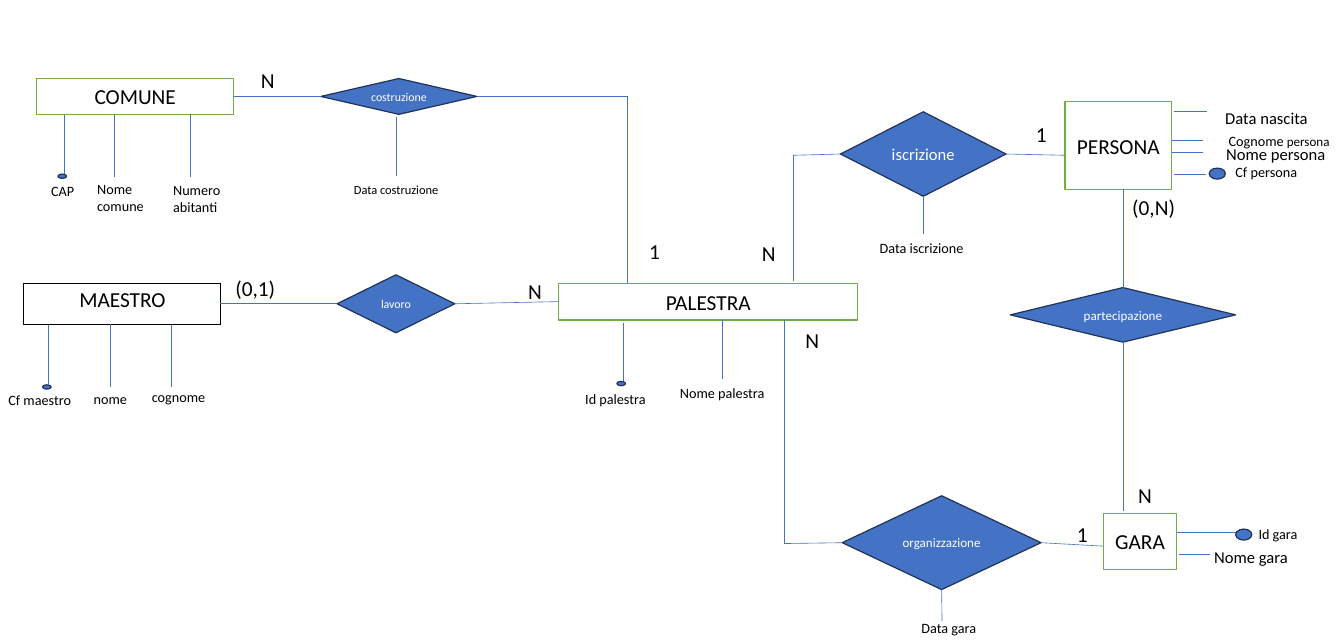
from dataclasses import dataclass
from typing import NamedTuple, Optional, Union

from lxml import etree
from pptx import Presentation
from pptx import util as u
from pptx.dml.color import RGBColor
from pptx.enum import shapes, text
from pptx.oxml.ns import qn


@dataclass(frozen=True)
class Theme:
    font: str = "Calibri"
    blue: str = "4472C4"
    navy: str = "1E3256"
    green: str = "70AD47"
    black: str = "000000"
    white: str = "FFFFFF"
    entity_size: float = 18
    cardinality_size: float = 18
    large_size: float = 14
    attribute_size: float = 12
    small_size: float = 10.5
    tail_size: float = 11
    connector_width: float = 0.5
    outline_width: float = 1


THEME = Theme()
TOP, LEFT, BOTTOM, RIGHT = range(4)


class Box(NamedTuple):
    left: float
    top: float
    width: float
    height: float


class Point(NamedTuple):
    x: float
    y: float


class Side(NamedTuple):
    node: str
    site: int


End = Union[Point, Side]


class Node(NamedTuple):
    name: str
    box: Box
    size: float = THEME.entity_size


class Label(NamedTuple):
    words: str
    left: float
    top: float
    width: float
    size: float = THEME.attribute_size
    lines: int = 1
    tail: str = ""


class Attribute(NamedTuple):
    start: End
    end: Point
    label: Label
    key: Optional[Box] = None


MAESTRO = Node("MAESTRO", Box(0.28, 3.32, 2.31, 0.48))
ENTITIES = [
    Node("PALESTRA", Box(6.55, 3.32, 3.5, 0.43)),
    Node("COMUNE", Box(0.43, 0.92, 2.31, 0.42)),
    Node("GARA", Box(12.93, 6.02, 0.86, 0.65)),
    Node("PERSONA", Box(12.48, 1.19, 1.25, 1.03)),
]
RELATIONS = [
    Node("lavoro", Box(3.95, 3.22, 1.38, 0.68), 10),
    Node("costruzione", Box(3.76, 0.92, 1.83, 0.42), 10),
    Node("iscrizione", Box(9.85, 1.31, 1.94, 0.99), 14),
    Node("organizzazione", Box(9.87, 5.81, 2.33, 1.1), 11),
    Node("partecipazione", Box(11.84, 3.37, 2.64, 0.64), 11),
]
LINKS: list[tuple[End, End]] = [
    (Point(2.58, 3.56), Side("lavoro", LEFT)),
    (Side("lavoro", RIGHT), Side("PALESTRA", LEFT)),
    (Point(7.35, 3.32), Point(7.35, 1.13)),
    (Point(7.35, 1.13), Side("costruzione", RIGHT)),
    (Side("costruzione", LEFT), Side("COMUNE", RIGHT)),
    (Point(9.3, 3.29), Point(9.3, 1.82)),
    (Point(9.3, 1.82), Side("iscrizione", LEFT)),
    (Side("iscrizione", RIGHT), Point(12.48, 1.82)),
    (Point(9.19, 3.75), Point(9.19, 6.37)),
    (Point(9.19, 6.37), Side("organizzazione", LEFT)),
    (Side("organizzazione", RIGHT), Point(12.93, 6.4)),
    (Point(13.16, 2.22), Side("partecipazione", TOP)),
    (Side("partecipazione", BOTTOM), Point(13.16, 5.99)),
]
ATTRIBUTES = [
    Attribute(Point(0.75, 1.35), Point(0.75, 2.04), Label("CAP", 0.5, 2.09, 0.5), Box(0.68, 2.04, 0.1, 0.05)),
    Attribute(Point(1.34, 1.34), Point(1.34, 2.08), Label("Nome comune", 1.04, 2.06, 0.76, lines=2)),
    Attribute(Point(2.23, 1.34), Point(2.23, 2.08), Label("Numero abitanti", 1.93, 2.07, 0.92, lines=2)),
    Attribute(Point(0.57, 3.81), Point(0.57, 4.5), Label("Cf maestro", 0, 4.54, 1), Box(0.5, 4.51, 0.1, 0.05)),
    Attribute(Point(1.29, 3.8), Point(1.29, 4.54), Label("nome", 1, 4.52, 0.63)),
    Attribute(Point(2.01, 3.81), Point(2.01, 4.54), Label("cognome", 1.68, 4.5, 0.91)),
    Attribute(Point(7.3, 3.78), Point(7.3, 4.47), Label("Id palestra", 6.76, 4.52, 1), Box(7.23, 4.47, 0.1, 0.05)),
    Attribute(Point(8.47, 3.75), Point(8.47, 4.44), Label("Nome palestra", 7.87, 4.46, 1.2)),
    Attribute(Point(4.65, 1.37), Point(4.65, 2.06), Label("Data costruzione", 4.05, 2.08, 1.2, THEME.small_size)),
    Attribute(Side("iscrizione", BOTTOM), Point(10.82, 2.74), Label("Data iscrizione", 10.21, 2.76, 1.2)),
    Attribute(Side("organizzazione", BOTTOM), Point(11.04, 7.28), Label("Data gara", 10.7, 7.21, 1.39)),
    Attribute(Point(13.79, 6.24), Point(14.48, 6.24), Label("Id gara", 14.65, 6.11, 0.71), Box(14.48, 6.2, 0.19, 0.13)),
    Attribute(Point(13.82, 6.5), Point(14.18, 6.5), Label("Nome gara", 14.13, 6.36, 1.41, THEME.large_size)),
    Attribute(Point(13.76, 2.04), Point(14.13, 2.04), Label("Cf persona", 14.38, 1.87, 0.96), Box(14.17, 1.97, 0.19, 0.13)),
    Attribute(Point(13.74, 1.79), Point(14.1, 1.79), Label("Nome persona", 14.27, 1.64, 1.41, THEME.large_size)),
    Attribute(Point(13.73, 1.64), Point(14.1, 1.64), Label("Cognome", 14.3, 1.5, 1.41, tail=" persona")),
    Attribute(Point(13.76, 1.31), Point(14.15, 1.31), Label("Data nascita", 14.26, 1.21, 1.2, THEME.large_size)),
]
CARDINALITIES = [
    Label(words, left, top, width, THEME.cardinality_size)
    for words, left, top, width in [
        ("N", 2.96, 0.74, 0.58), ("1", 7.51, 2.74, 0.52), ("N", 6.09, 3.21, 0.58),
        ("N", 8.83, 2.77, 0.58), ("N", 9.34, 3.78, 0.58), ("(0,1)", 2.66, 3.18, 0.75),
        ("(0,N)", 13.17, 2.23, 0.75), ("N", 13.24, 5.6, 0.58), ("1", 12.04, 1.37, 0.58),
        ("1", 12.52, 6.06, 0.58),
    ]
]


def inches(values) -> list[int]:
    return [u.Inches(value) for value in values]


def set_all(target, values: dict) -> None:
    for name, value in values.items():
        setattr(target, name, value)


def add_run(paragraph, words: str, size: float, color: str = THEME.black) -> None:
    run = paragraph.add_run()
    run.text = words
    set_all(run.font, {"name": THEME.font, "size": u.Pt(size)})
    run.font.color.rgb = RGBColor.from_string(color)


def add_outlined(slide, kind, box: Box, fill: str, line: str):
    shape = slide.shapes.add_shape(kind, *inches(box))
    shape.shadow.inherit = False
    shape.fill.solid()
    shape.fill.fore_color.rgb = RGBColor.from_string(fill)
    shape.line.color.rgb = RGBColor.from_string(line)
    shape.line.width = u.Pt(THEME.outline_width)
    return shape


def add_node(slide, node: Node, kind, fill: str, line: str, color: str):
    shape = add_outlined(slide, kind, node.box, fill, line)
    set_all(shape.text_frame, {"word_wrap": True, "vertical_anchor": text.MSO_ANCHOR.MIDDLE})
    paragraph = shape.text_frame.paragraphs[0]
    paragraph.alignment = text.PP_ALIGN.CENTER
    add_run(paragraph, node.name, node.size, color)
    return shape


def add_table_entity(slide, node: Node) -> None:
    """Draw an entity as a one-cell table with a border on all sides."""
    table = slide.shapes.add_table(1, 1, *inches(node.box)).table
    set_all(table, {"first_row": False, "horz_banding": False})
    cell = table.cell(0, 0)
    cell.fill.solid()
    cell.fill.fore_color.rgb = RGBColor.from_string(THEME.white)
    paragraph = cell.text_frame.paragraphs[0]
    paragraph.alignment = text.PP_ALIGN.CENTER
    add_run(paragraph, node.name, node.size)
    properties = cell._tc.get_or_add_tcPr()
    for index, tag in enumerate(("a:lnL", "a:lnR", "a:lnT", "a:lnB")):
        border = etree.Element(qn(tag), w=str(u.Pt(THEME.outline_width)))
        fill = etree.SubElement(border, qn("a:solidFill"))
        etree.SubElement(fill, qn("a:srgbClr"), val=THEME.black)
        properties.insert(index, border)


def add_link(slide, nodes: dict, start: End, end: End) -> None:
    points = [value for tip in (start, end) for value in (tip if isinstance(tip, Point) else (0, 0))]
    connector = slide.shapes.add_connector(shapes.MSO_CONNECTOR.STRAIGHT, *inches(points))
    for tip, connect in ((start, connector.begin_connect), (end, connector.end_connect)):
        if isinstance(tip, Side):
            connect(nodes[tip.node], tip.site)
    connector.line.color.rgb = RGBColor.from_string(THEME.blue)
    connector.line.width = u.Pt(THEME.connector_width)
    etree.SubElement(connector._element.spPr, qn("a:effectLst"))


def add_label(slide, label: Label) -> None:
    height = label.lines * label.size * 1.2 / 72 + 0.1
    frame = slide.shapes.add_textbox(*inches((label.left, label.top, label.width, height))).text_frame
    set_all(frame, {"word_wrap": True, "auto_size": text.MSO_AUTO_SIZE.SHAPE_TO_FIT_TEXT})
    add_run(frame.paragraphs[0], label.words, label.size)
    if label.tail:
        add_run(frame.paragraphs[0], label.tail, THEME.tail_size)


def main() -> None:
    presentation = Presentation()
    set_all(presentation, {"slide_width": u.Inches(15.75), "slide_height": u.Inches(7.5)})
    slide = presentation.slides.add_slide(presentation.slide_layouts[6])
    kinds = shapes.MSO_SHAPE
    add_table_entity(slide, MAESTRO)
    nodes = {}
    for node in ENTITIES:
        nodes[node.name] = add_node(slide, node, kinds.RECTANGLE, THEME.white, THEME.green, THEME.black)
    for node in RELATIONS:
        nodes[node.name] = add_node(slide, node, kinds.FLOWCHART_DECISION, THEME.blue, THEME.navy, THEME.white)
    for start, end in LINKS:
        add_link(slide, nodes, start, end)
    for attribute in ATTRIBUTES:
        add_link(slide, nodes, attribute.start, attribute.end)
        add_label(slide, attribute.label)
        if attribute.key:
            add_outlined(slide, kinds.FLOWCHART_CONNECTOR, attribute.key, THEME.blue, THEME.navy)
    for cardinality in CARDINALITIES:
        add_label(slide, cardinality)
    presentation.save("out.pptx")


if __name__ == "__main__":
    main()
